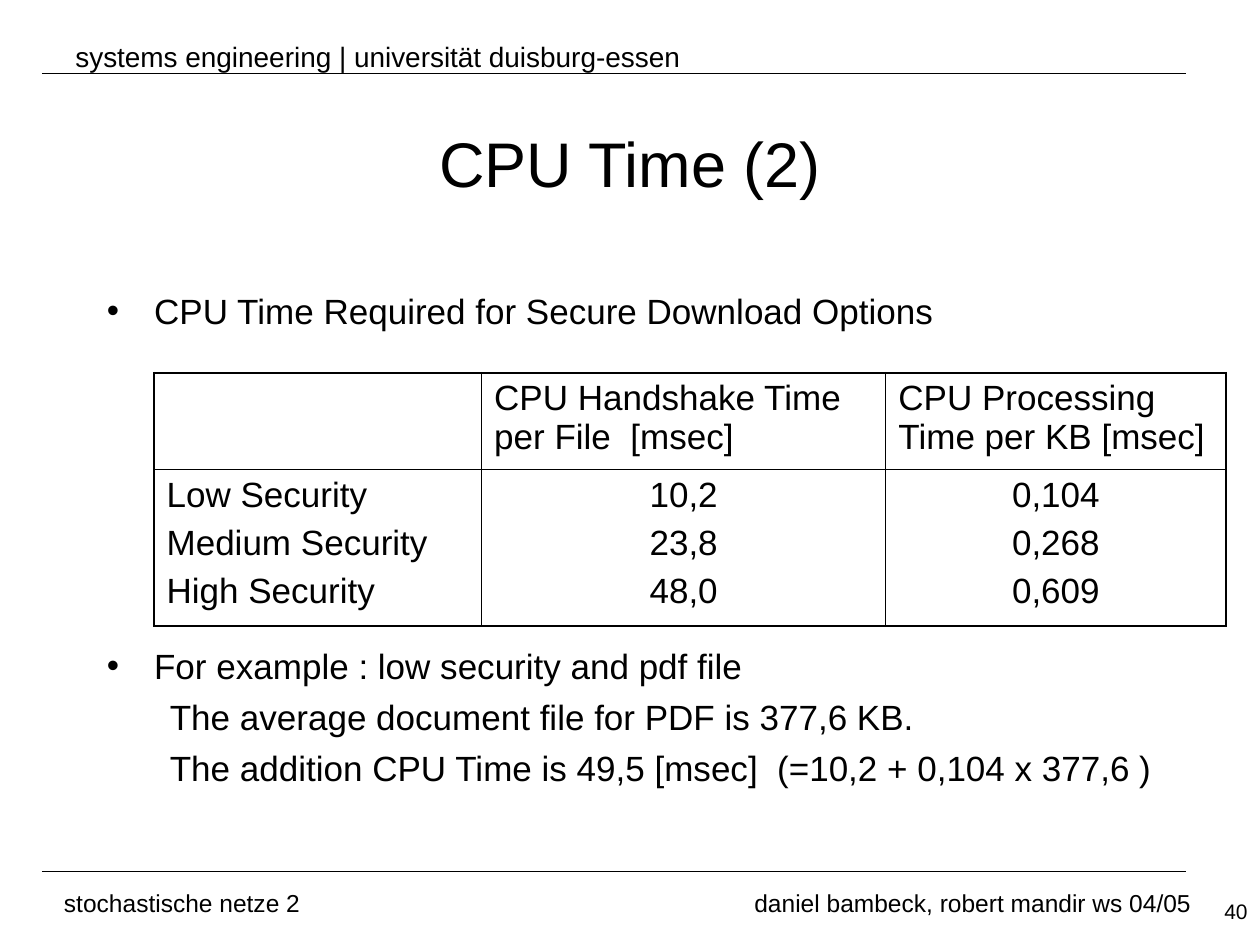
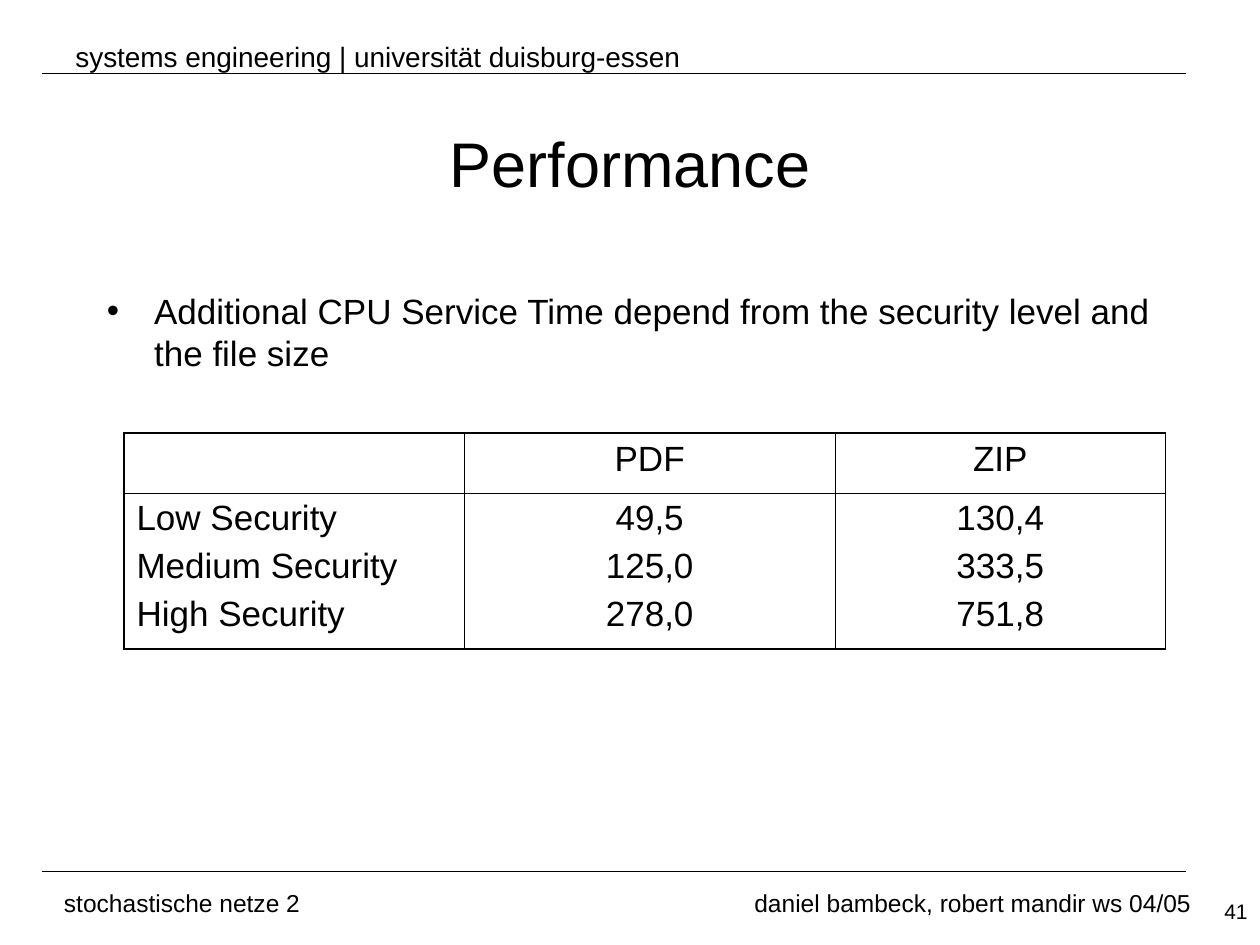
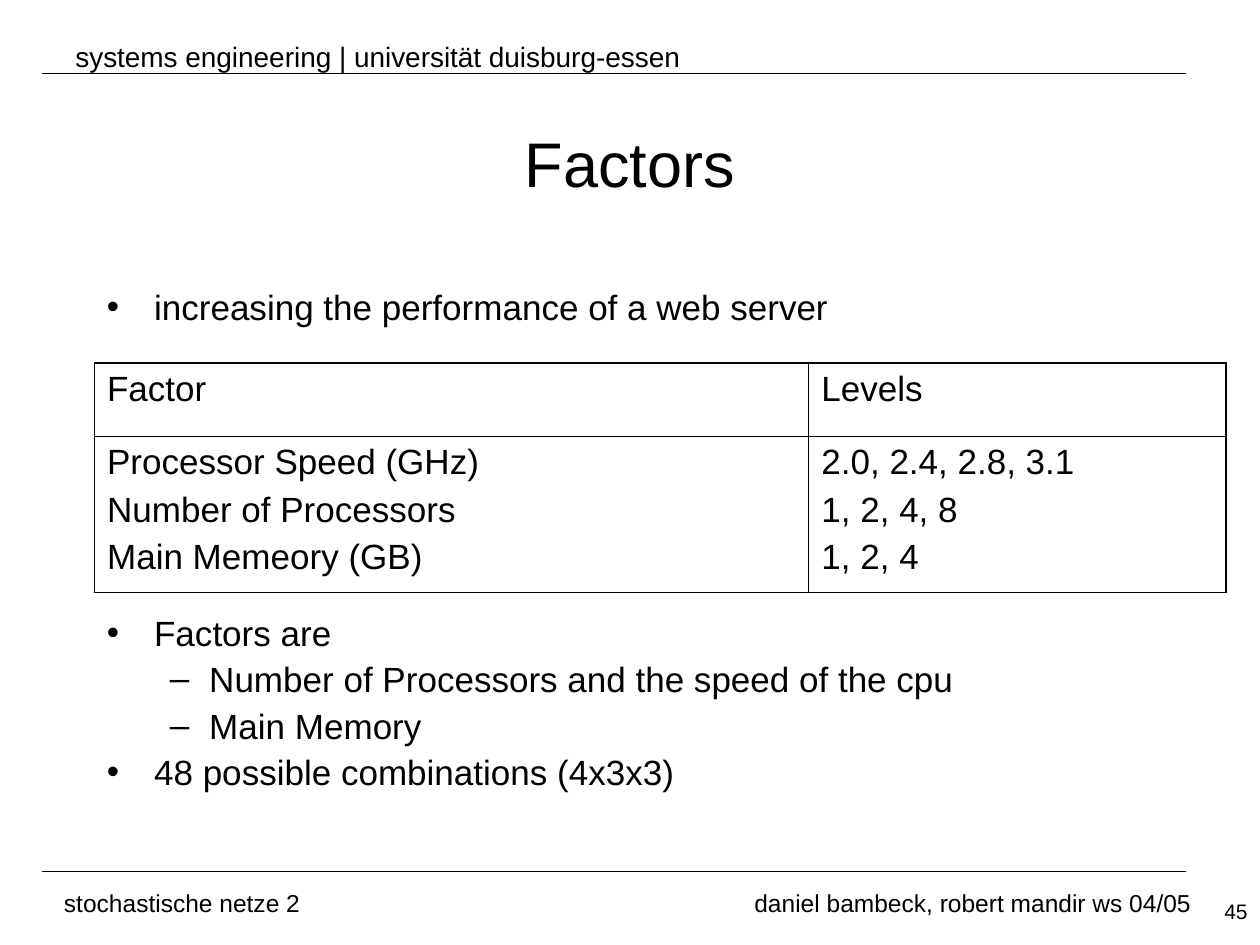
from lxml import etree
from pptx import Presentation
from pptx import util as u
from pptx.dml.color import RGBColor
from pptx.enum import shapes, text
from pptx.oxml import ns

Pt = u.Pt
HUES = {"ink": "000000", "page": "FFFFFF"}
FACE = "Arial"
LEFT, MID, RIGHT = text.PP_ALIGN.LEFT, text.PP_ALIGN.CENTER, text.PP_ALIGN.RIGHT
BODY = 20
GAP = 5
THICK, THIN = 1.08, 0.45
KINDS = {
    "dot": {"marL": 27, "indent": -27, "mark": "•"},
    "dash": {"marL": 58.5, "indent": -22.5, "mark": "–"},
    "plain": {"marL": 58.5, "indent": -22.5, "mark": None},
}


def tint(name):
    return RGBColor.from_string(HUES[name])


def apply(item, vals):
    for key, val in vals.items():
        setattr(item, key, val)


def add(root, tag, **vals):
    node = etree.SubElement(root, ns.qn("a:" + tag))
    for key, val in vals.items():
        node.set(key, str(val))
    return node


def write(par, words, size, face=FACE, **vals):
    apply(par, vals)
    run = par.add_run()
    run.text = words
    apply(run.font, {"size": Pt(size), "name": face})
    run.font.color.rgb = tint("ink")


def frame(slide, area, anchor=text.MSO_ANCHOR.TOP):
    box = slide.shapes.add_textbox(*map(Pt, area)).text_frame
    apply(box, {"word_wrap": True, "vertical_anchor": anchor})
    return box


def label(slide, area, words, size, align=LEFT, anchor=text.MSO_ANCHOR.TOP):
    par = frame(slide, area, anchor).paragraphs[0]
    write(par, words, size, alignment=align)
    return par


def rule(slide, y):
    line = slide.shapes.add_connector(
        shapes.MSO_CONNECTOR.STRAIGHT, Pt(24), Pt(y), Pt(678), Pt(y))
    line.line.width = Pt(0.75)
    line.line.color.rgb = tint("ink")
    add(line.element.spPr, "effectLst")


def base(deck, title, page):
    slide = deck.slides.add_slide(deck.slide_layouts[6])
    slide.background.fill.solid()
    slide.background.fill.fore_color.rgb = tint("page")
    middle = text.MSO_ANCHOR.MIDDLE
    head = label(slide, (36, 12, 612, 18),
                 "systems engineering | universität duisburg-essen", 16, anchor=middle)
    write(head, " ", 44, "Times New Roman")
    for y in (42, 498):
        rule(slide, y)
    foot = label(slide, (29.5, 504, 659, 24.5),
                 "stochastische netze 2\tdaniel bambeck, robert mandir ws 04/05", 14)
    tabs = add(foot._p.get_or_add_pPr(), "tabLst")
    add(tabs, "tab", pos=Pt(394.5), algn="l")
    label(slide, (54, 48, 612, 90), title, 36, MID, middle)
    label(slide, (636, 510, 84, 30), str(page), 12, RIGHT)
    return slide


def points(slide, size, pitch, items):
    box = frame(slide, (54, 162, *size))
    for i, (kind, words, gap) in enumerate(items):
        par = box.add_paragraph() if i else box.paragraphs[0]
        write(par, words, BODY, line_spacing=Pt(pitch), space_before=Pt(gap))
        form = KINDS[kind]
        props = par._p.get_or_add_pPr()
        for key in ("marL", "indent"):
            props.set(key, str(Pt(form[key])))
        if form["mark"]:
            add(add(props, "buClr"), "srgbClr", val=HUES["ink"])
            add(props, "buFont", typeface=FACE)
            add(props, "buChar", char=form["mark"])
        else:
            add(props, "buNone")


def edge(cell, outer):
    props = cell._tc.get_or_add_tcPr()
    for i, (side, thick) in enumerate(zip("LRTB", outer)):
        line = add(props, "ln" + side, w=Pt(THICK if thick else THIN))
        add(add(line, "solidFill"), "srgbClr", val=HUES["ink"])
        props.insert(i, line)


def grid(slide, spot, cols, rows, cells, aligns):
    table = slide.shapes.add_table(
        len(rows), len(cols), *map(Pt, (*spot, sum(cols), sum(rows)))).table
    apply(table, {"first_row": False, "horz_banding": False})
    for col, width in zip(table.columns, cols):
        col.width = Pt(width)
    for r, high in enumerate(rows):
        table.rows[r].height = Pt(high)
        for c, words in enumerate(cells[r]):
            cell = table.cell(r, c)
            cell.fill.background()
            edge(cell, (c == 0, c == len(cols) - 1, r == 0, r == len(rows) - 1))
            for i, part in enumerate(words.split("\n")):
                par = cell.text_frame.add_paragraph() if i else cell.text_frame.paragraphs[0]
                par.font.size = Pt(BODY)
                if part:
                    write(par, part, BODY, space_before=Pt(GAP),
                          alignment=aligns[r] if c else LEFT)


def main():
    deck = Presentation()
    apply(deck, {"slide_width": Pt(720), "slide_height": Pt(540)})
    grades = "Low Security\nMedium Security\nHigh Security"
    tall = 89.1

    slide = base(deck, "CPU Time (2)", 40)
    points(slide, (612, 318), 24, [
        ("dot", "CPU Time Required for Secure Download Options", GAP),
        ("dot", "For example : low security and pdf file", 179),
        ("plain", "The average document file for PDF is 377,6 KB.", GAP),
        ("plain", "The addition CPU Time is 49,5 [msec]  (=10,2 + 0,104 x 377,6 )", GAP),
    ])
    grid(slide, (88, 213), (187.2, 231, 194.4), (55.4, tall), [
        ["", "CPU Handshake Time per File  [msec]", "CPU Processing Time per KB [msec]"],
        [grades, "10,2\n23,8\n48,0", "0,104\n0,268\n0,609"],
    ], (LEFT, MID))

    slide = base(deck, "Performance", 41)
    points(slide, (629, 312.5), 24, [
        ("dot", "Additional CPU Service Time depend from the security level and the file size", GAP),
    ])
    grid(slide, (70.8, 247.5), (194.6, 211.7, 189), (34.2, tall), [
        ["", "PDF", "ZIP"],
        [grades, "49,5\n125,0\n278,0", "130,4\n333,5\n751,8"],
    ], (MID, MID))

    slide = base(deck, "Factors", 45)
    points(slide, (584, 318), 21.6, [
        ("dot", "increasing the performance of a web server", GAP),
        ("dot", "Factors are", 164.6),
        ("dash", "Number of Processors and the speed of the cpu", GAP),
        ("dash", "Main Memory", GAP),
        ("dot", "48 possible combinations (4x3x3)", GAP),
    ])
    grid(slide, (54, 207.5), (408.2, 238.3), (41.8, tall), [
        ["Factor", "Levels"],
        ["Processor Speed (GHz)\nNumber of Processors\nMain Memeory (GB)",
         "2.0, 2.4, 2.8, 3.1\n1, 2, 4, 8\n1, 2, 4"],
    ], (LEFT, LEFT))

    deck.save("out.pptx")


if __name__ == "__main__":
    main()
